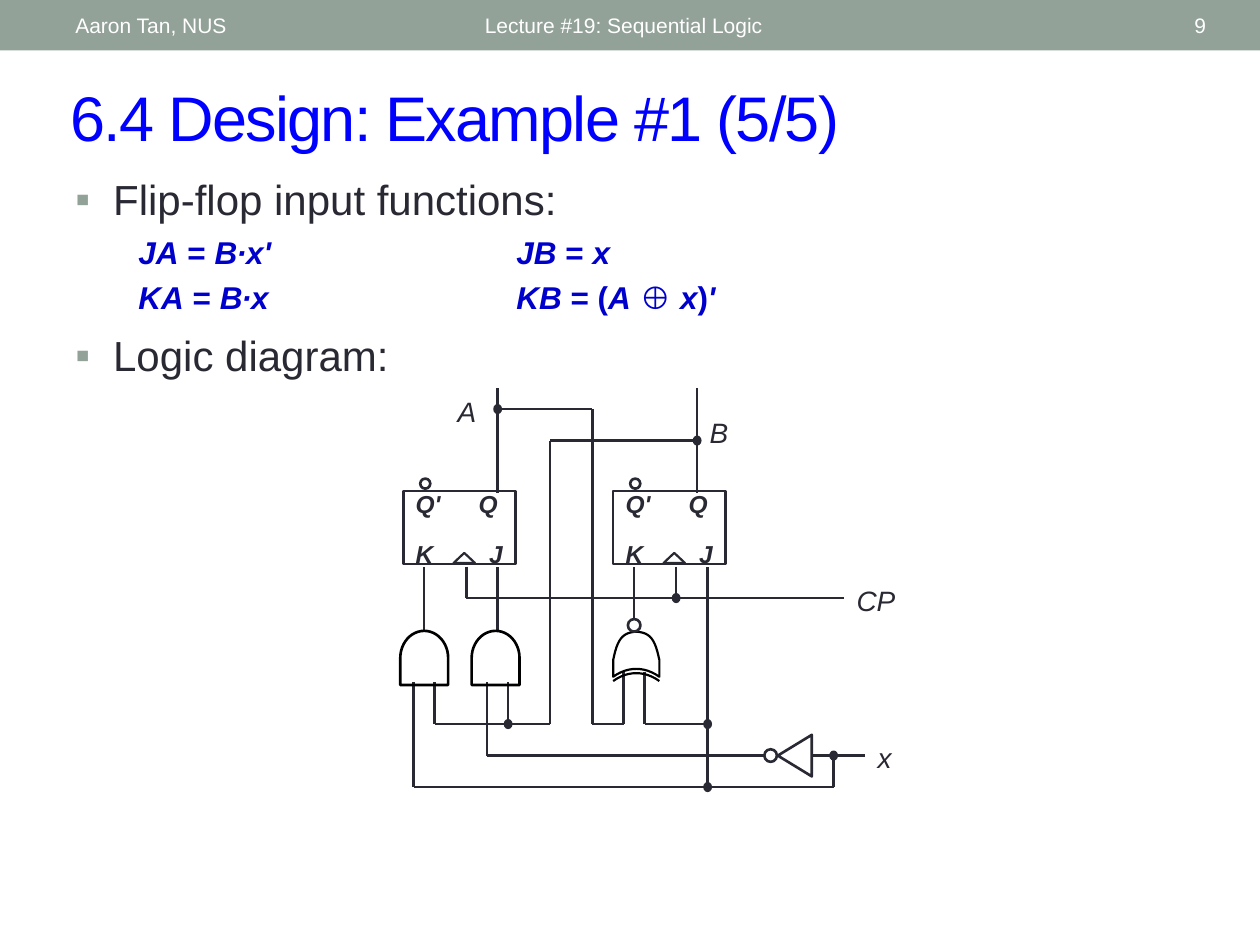
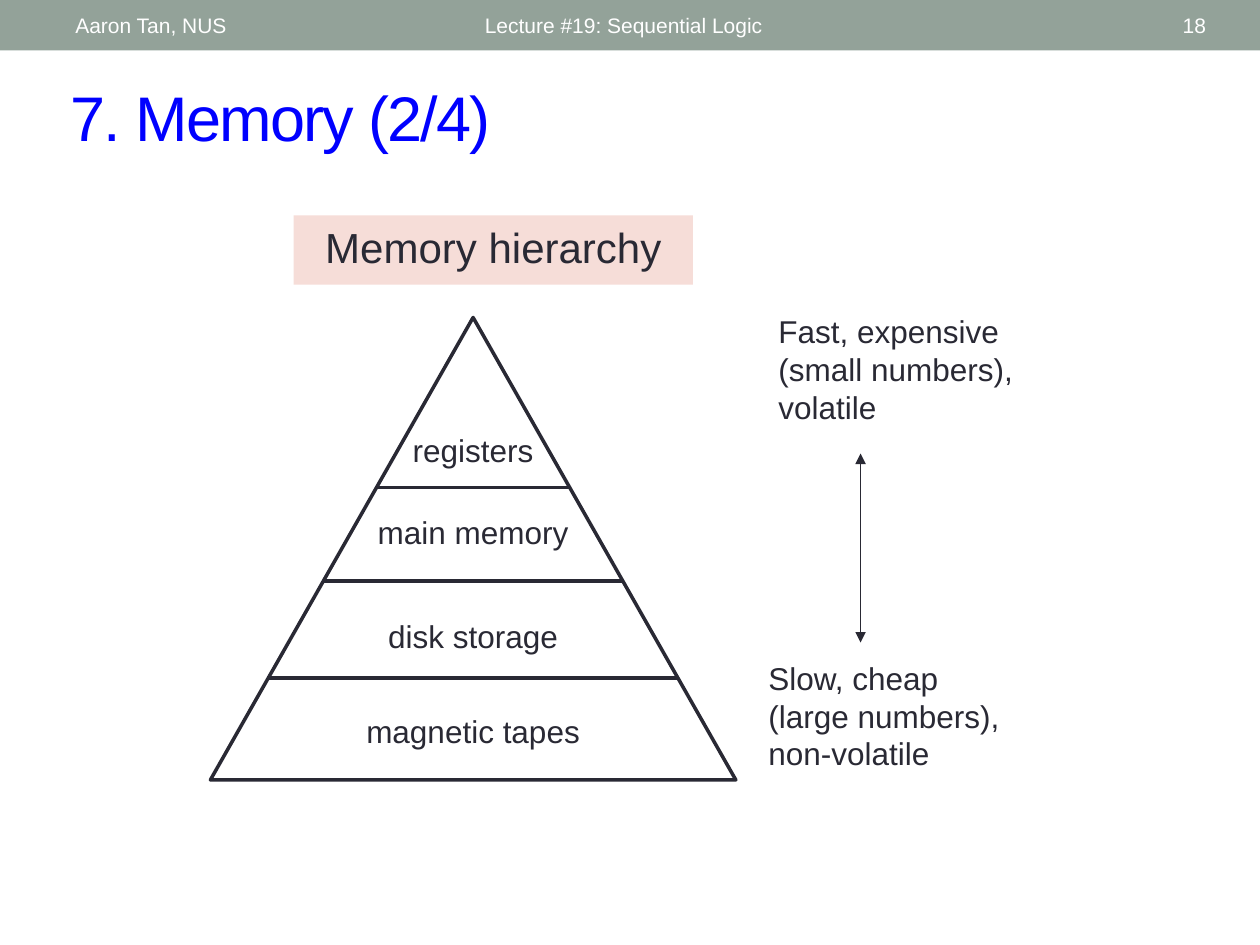
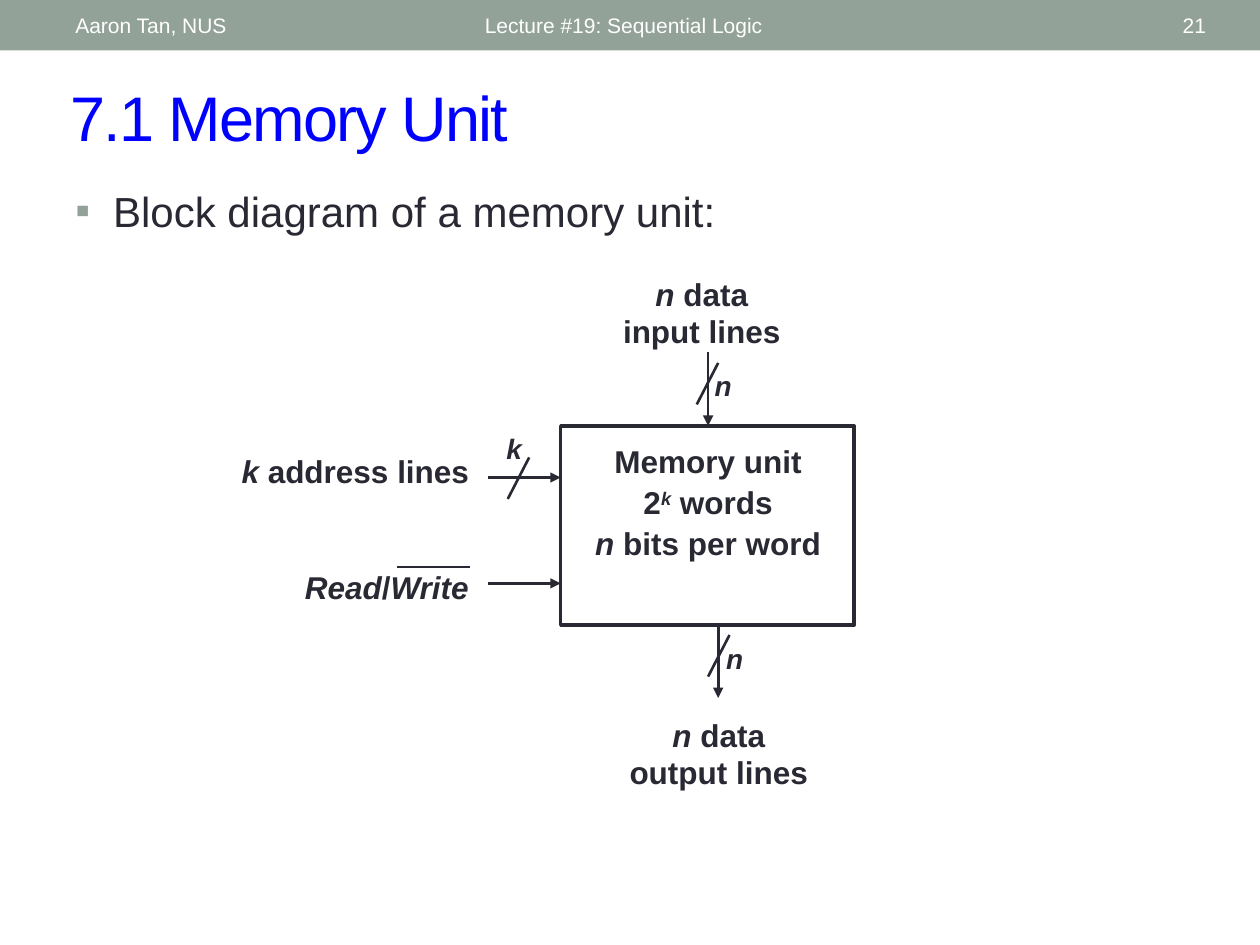
from lxml.etree import SubElement
from pptx import Presentation
from pptx.dml.color import RGBColor
from pptx.enum.shapes import MSO_CONNECTOR, MSO_SHAPE
from pptx.enum.text import MSO_ANCHOR, MSO_AUTO_SIZE, PP_ALIGN
from pptx.oxml.ns import qn
from pptx.util import Inches, Pt

LEFT, CENTER, RIGHT = PP_ALIGN.LEFT, PP_ALIGN.CENTER, PP_ALIGN.RIGHT
TOP, MIDDLE = MSO_ANCHOR.TOP, MSO_ANCHOR.MIDDLE
RECTANGLE, ELLIPSE = MSO_SHAPE.RECTANGLE, MSO_SHAPE.OVAL
TRIANGLE, AND_GATE = MSO_SHAPE.ISOSCELES_TRIANGLE, MSO_SHAPE.FLOWCHART_DELAY

WIDTH, HEIGHT = 10, 7.5
FONT = "Arial"
COLORS = {"band": "93A299", "title": "0000FF", "ink": "292934", "formula": "0000CC",
          "gate": "000000", "white": "FFFFFF", "caption": "F6DDD8"}
AUTHOR, LECTURE = "Aaron Tan, NUS", "Lecture #19: Sequential Logic"

# In all text, *stars* enclose italics and ^ starts a superscript.

# Circuit of slide 1, as columns and rows of a grid of twelfths of an inch
CELL = 1 / 12
GRID_LEFT, GRID_TOP = 3.2, 3.08
FLIP_FLOP_COLUMNS = [0, 20]
PIN_LABELS = [("*Q'*", 0, 9), ("*Q*", 6, 9), ("*K*", 0, 13.8), ("*J*", 7, 13.8)]
SIGNAL_LABELS = [("*A*", 4, 0), ("*B*", 28, 2), ("*CP*", 42, 18), ("*x*", 44, 33)]
WIRES = [
    [(9, 0), (9, 10)],
    [(9, 2), (18, 2), (18, 32), (21, 32), (21, 27)],
    [(28, 0), (28, 10)],
    [(28, 5), (14, 5), (14, 32), (3, 32), (3, 28)],
    [(10, 28), (10, 32)],
    [(6, 17), (6, 20), (42, 20)],
    [(26, 17), (26, 20)],
    [(2, 23), (2, 17)],
    [(9, 23), (9, 17)],
    [(22, 22), (22, 17)],
    [(29, 38), (29, 17)],
    [(29, 32), (23, 32), (23, 27)],
    [(44, 35), (39, 35)],
    [(34.5, 35), (8, 35), (8, 28)],
    [(41, 35), (41, 38), (1, 38), (1, 28)],
]
JUNCTIONS = [(9, 2), (28, 5), (26, 20), (10, 32), (29, 32), (41, 35), (29, 38)]
AND_GATES = [(2, 25.7), (8.8, 25.7)]
BUBBLES = [(22, 22.6), (35, 35)]
DESIGN_BULLETS = [("Flip-flop input functions:", 1.33), ("Logic diagram:", 2.57)]
FORMULA_COLUMNS = [(["*JA* = *B∙x'*", "*KA* = *B∙x*"], 1),
                   (["*JB* = *x*", "*KB* = (*A* ⊕ *x*)*'*"], 4)]

# Pyramid of slide 2: label, top of label, bottom of level
PYRAMID = (1.67, 2.52, 4.17, 3.67)
LEVELS = [("registers", 3.37, 3.87), ("main memory", 4.02, 4.61),
          ("disk storage", 4.85, 5.38), ("magnetic tapes", 5.6, None)]
EXTREMES = [("Fast, expensive (small numbers), volatile", 6.08, 2.43),
            ("Slow, cheap (large numbers), non-volatile", 6, 5.18)]

# Block diagram of slide 3
MEMORY_UNIT = (4.45, 3.38, 2.33, 1.58)
MEMORY_LINES = ["Memory unit", "2*^k* words", "*n* bits per word"]
PORT_LABELS = [  # text, size, left, top, width
    ("*k* address lines", 18, 1.78, 3.54, 2.08),
    ("*Read*/*Write*", 18, 2.28, 4.46, 1.58),
    ("*n* data input lines", 18, 4.78, 2.13, 1.58),
    ("*n* data output lines", 18, 4.87, 5.63, 1.67),
    ("*k*", 16, 3.87, 3.38, 0.42),
    ("*n*", 16, 5.53, 2.88, 0.42),
    ("*n*", 16, 5.62, 5.04, 0.42),
]
PORT_ARROWS = [((3.87, 3.79), (4.45, 3.79)), ((3.87, 4.63), (4.45, 4.63)),
               ((5.62, 2.79), (5.62, 3.38)), ((5.7, 4.96), (5.7, 5.54))]
BUS_SLASHES = [(4.03, 3.63), (5.53, 2.88), (5.62, 5.04)]
SLASH_WIDTH, SLASH_HEIGHT = 0.17, 0.33
WRITE_BAR = ((3.15, 4.5), (3.73, 4.5))


def color(name):
    return RGBColor.from_string(COLORS[name])


def grid(column, row):
    return GRID_LEFT + column * CELL, GRID_TOP + row * CELL


def write(paragraph, markup, size, ink="ink", bold=False):
    """Fill a paragraph from text with *italics* and ^superscripts."""
    for index, piece in enumerate(markup.split("*")):
        if not piece:
            continue
        run = paragraph.add_run()
        run.text = piece.lstrip("^")
        run.font.name, run.font.size = FONT, Pt(size)
        run.font.bold, run.font.italic = bold, index % 2 == 1
        run.font.color.rgb = color(ink)
        if piece.startswith("^"):
            run.font._element.set("baseline", "30000")


def add_text(slide, lines, left, top, width, height=0.4, size=18, ink="ink", bold=False,
             align=LEFT, anchor=TOP, wrap=True, gap=0):
    frame = slide.shapes.add_textbox(*map(Inches, (left, top, width, height))).text_frame
    frame.word_wrap, frame.vertical_anchor = wrap, anchor
    for index, line in enumerate(lines):
        paragraph = frame.add_paragraph() if index else frame.paragraphs[0]
        paragraph.alignment = align
        if index:
            paragraph.space_before = Pt(gap)
        write(paragraph, line, size, ink, bold)


def add_bullet(slide, text, top):
    frame = slide.shapes.add_textbox(*map(Inches, (0.5, top, 9, 0.5))).text_frame
    frame.word_wrap = True
    paragraph = frame.paragraphs[0]
    properties = paragraph._p.get_or_add_pPr()
    properties.set("marL", str(Inches(0.3)))
    properties.set("indent", str(Inches(-0.3)))
    bullet_color = SubElement(properties, qn("a:buClr"))
    SubElement(bullet_color, qn("a:srgbClr"), val=COLORS["band"])
    SubElement(properties, qn("a:buFont"), typeface=FONT)
    SubElement(properties, qn("a:buChar"), char="▪")
    write(paragraph, text, 24)


def paint(shape, fill=None, line=None, weight=1.5):
    shape.shadow.inherit = False
    if fill:
        shape.fill.solid()
        shape.fill.fore_color.rgb = color(fill)
    else:
        shape.fill.background()
    if line:
        shape.line.color.rgb = color(line)
        shape.line.width = Pt(weight)
    else:
        shape.line.fill.background()


def add_box(slide, preset, left, top, width, height, **style):
    shape = slide.shapes.add_shape(preset, *map(Inches, (left, top, width, height)))
    paint(shape, **style)
    return shape


def add_centered(slide, preset, center, width, height, **style):
    x, y = center
    return add_box(slide, preset, x - width / 2, y - height / 2, width, height, **style)


def add_line(slide, start, end, weight=1.5, arrows=()):
    """Draw a line; arrows may hold headEnd and tailEnd."""
    connector = slide.shapes.add_connector(MSO_CONNECTOR.STRAIGHT, *map(Inches, (*start, *end)))
    connector.line.color.rgb = color("ink")
    connector.line.width = Pt(weight)
    for arrow in arrows:
        SubElement(connector.line._get_or_add_ln(), qn(f"a:{arrow}"), type="triangle")
    SubElement(connector._element.spPr, qn("a:effectLst"))


def add_slide(presentation, title, number):
    slide = presentation.slides.add_slide(presentation.slide_layouts[5])
    add_box(slide, RECTANGLE, 0, 0, WIDTH, 0.4, fill="band")
    for text, left, width, align in [(LECTURE, 3.75, 4.5, LEFT), (number, 8.72, 0.95, RIGHT),
                                     (AUTHOR, 0.5, 3.17, LEFT)]:
        add_text(slide, [text], left, 0.02, width, 0.36, 12, "white", align=align, anchor=MIDDLE)
    placeholder = slide.shapes.title
    placeholder.left, placeholder.top, placeholder.width, placeholder.height = map(
        Inches, (0.46, 0.57, 9.21, 0.7))
    frame = placeholder.text_frame
    frame.auto_size, frame.vertical_anchor = MSO_AUTO_SIZE.NONE, MIDDLE
    paragraph = frame.paragraphs[0]
    paragraph.alignment = LEFT
    write(paragraph, title, 36, "title")
    paragraph.runs[0].font._element.set("spc", "-100")
    return slide


def curve(*controls, steps=12):
    """Points along a cubic Bezier curve."""
    shares = [step / steps for step in range(steps + 1)]
    return [tuple((1 - t) ** 3 * a + 3 * (1 - t) ** 2 * t * b + 3 * (1 - t) * t * t * c + t ** 3 * d
                  for a, b, c, d in zip(*controls)) for t in shares]


def add_outline(slide, cells, closed):
    points = [tuple(map(Inches, grid(*cell))) for cell in cells]
    builder = slide.shapes.build_freeform(*points[0])
    builder.add_line_segments(points[1:], close=closed)
    paint(builder.convert_to_shape(), line="gate", weight=1.25)


def add_exclusive_or_gate(slide):
    left, middle, right = 20, 22.2, 24.4
    base = curve((left, 27.5), (21.4, 26.5), (23, 26.5), (right, 27.5))
    left_side = curve((left, 25.9), (20.4, 24), (20.8, 23.3), (middle, 23.2))
    right_side = [(2 * middle - x, y) for x, y in reversed(left_side)]
    add_outline(slide, left_side + right_side + base[::-1], True)
    add_outline(slide, [(x, y + 0.4) for x, y in base], False)


def add_flip_flop(slide, column):
    add_box(slide, RECTANGLE, *grid(column, 9.8), 0.89, 0.58, line="ink")
    add_box(slide, TRIANGLE, *grid(column + 4.8, 15.7), 0.17, 0.08, line="ink", weight=1.25)
    add_centered(slide, ELLIPSE, grid(column + 2.1, 9.1), 0.08, 0.08, fill="white", line="ink")
    for label, label_column, row in PIN_LABELS:
        add_text(slide, [label], *grid(column + label_column, row), 0.42, 0.33, 14,
                 bold=True, wrap=False)


def build_design_slide(presentation):
    slide = add_slide(presentation, "6.4 Design: Example #1 (5/5)", "9")
    for text, top in DESIGN_BULLETS:
        add_bullet(slide, text, top)
    for formulas, left in FORMULA_COLUMNS:
        add_text(slide, formulas, left, 1.8, 2.8, 0.75, 18, "formula", True, gap=4)
    for wire in WIRES:
        for start, end in zip(wire, wire[1:]):
            add_line(slide, grid(*start), grid(*end))
    for junction in JUNCTIONS:
        add_centered(slide, ELLIPSE, grid(*junction), 0.06, 0.07, fill="ink", line="ink", weight=0.75)
    for column in FLIP_FLOP_COLUMNS:
        add_flip_flop(slide, column)
    for center in AND_GATES:
        add_centered(slide, AND_GATE, grid(*center), 0.43, 0.38, line="gate").rotation = 270
    add_exclusive_or_gate(slide)
    add_centered(slide, TRIANGLE, grid(37.3, 35), 0.33, 0.27, line="ink").rotation = 270
    for center in BUBBLES:
        add_centered(slide, ELLIPSE, grid(*center), 0.1, 0.1, line="ink")
    for label, column, row in SIGNAL_LABELS:
        add_text(slide, [label], *grid(column, row), 0.6, 0.37, 16)


def build_hierarchy_slide(presentation):
    slide = add_slide(presentation, "7. Memory (2/4)", "18")
    left, top, width, height = PYRAMID
    middle = left + width / 2
    add_box(slide, TRIANGLE, *PYRAMID, line="ink", weight=2)
    for label, label_top, bottom in LEVELS:
        add_text(slide, [label], middle - 1, label_top, 2, align=CENTER)
        if bottom:
            reach = width / 2 * (bottom - top) / height
            add_line(slide, (middle - reach, bottom), (middle + reach, bottom), 2)
    for text, text_left, text_top in EXTREMES:
        add_text(slide, [text], text_left, text_top, 2.17, 1)
    add_line(slide, (6.83, 3.6), (6.83, 5.1), 1, ["headEnd", "tailEnd"])
    caption = add_box(slide, RECTANGLE, 2.33, 1.71, 3.17, 0.55, fill="caption").text_frame
    caption.vertical_anchor = TOP
    caption.paragraphs[0].alignment = CENTER
    write(caption.paragraphs[0], "Memory hierarchy", 24)


def build_unit_slide(presentation):
    slide = add_slide(presentation, "7.1 Memory Unit", "21")
    add_bullet(slide, "Block diagram of a memory unit:", 1.42)
    add_box(slide, RECTANGLE, *MEMORY_UNIT, line="ink", weight=2)
    add_text(slide, MEMORY_LINES, 4.62, 3.46, 2, 1.06, bold=True, align=CENTER, gap=1.8)
    for start, end in PORT_ARROWS:
        add_line(slide, start, end, arrows=["tailEnd"])
    for left, top in BUS_SLASHES:
        add_line(slide, (left + SLASH_WIDTH, top), (left, top + SLASH_HEIGHT))
    add_line(slide, *WRITE_BAR, 1.25)
    for text, size, left, top, width in PORT_LABELS:
        add_text(slide, [text], left, top, width, size=size, bold=True, align=CENTER)


def main():
    presentation = Presentation()
    presentation.slide_width, presentation.slide_height = Inches(WIDTH), Inches(HEIGHT)
    build_design_slide(presentation)
    build_hierarchy_slide(presentation)
    build_unit_slide(presentation)
    presentation.save("out.pptx")


if __name__ == "__main__":
    main()
